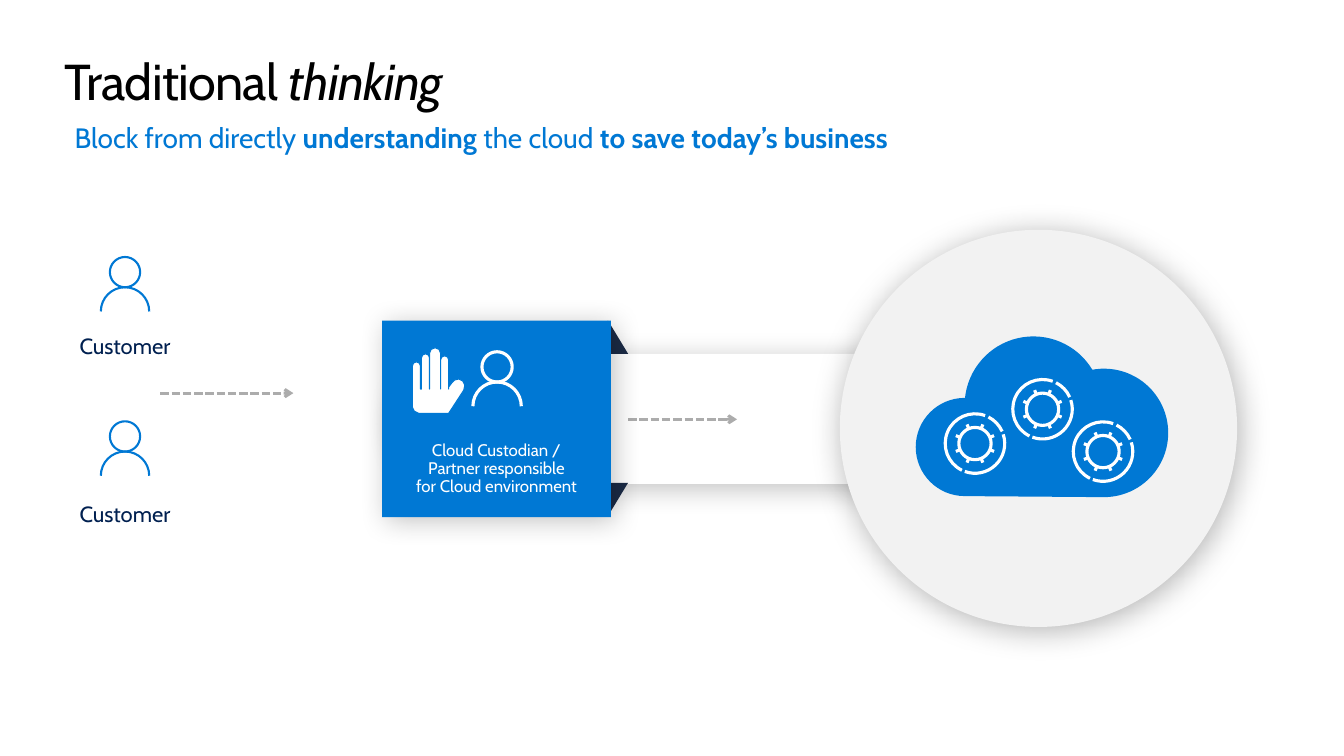
"""Build the slide on traditional thinking about access to the cloud."""
from dataclasses import dataclass
from math import ceil, cos, radians, sin, tan
from typing import NamedTuple, Optional

from lxml.etree import SubElement
from pptx import Presentation
from pptx.dml.color import RGBColor
from pptx.enum.dml import MSO_LINE
from pptx.enum.shapes import MSO_CONNECTOR, MSO_SHAPE
from pptx.enum.text import MSO_ANCHOR, PP_ALIGN
from pptx.oxml.ns import qn
from pptx.util import Inches, Pt


@dataclass(frozen=True)
class Theme:
    font: str = "Cabin"
    black: str = "000000"
    white: str = "FFFFFF"
    blue: str = "0078D4"
    navy: str = "002050"
    fold: str = "1B2B46"
    disc: str = "F2F2F2"
    grey: str = "ACACAC"
    title_size: float = 36
    subtitle_size: float = 20
    customer_size: float = 15.7
    custodian_size: float = 12


class Box(NamedTuple):
    left: float
    top: float
    width: float
    height: float


class Point(NamedTuple):
    x: float
    y: float


class Shadow(NamedTuple):
    opacity: int
    blur: float
    distance: float
    angle: int


class Contour(NamedTuple):
    points: list[Point]
    closed: bool = False


class Span(NamedTuple):
    text: str
    bold: bool = False
    italic: bool = False


class Panel(NamedTuple):
    preset: MSO_SHAPE
    box: Box
    color: str
    shadow: Optional[Shadow] = None
    flipped: bool = False


class Customer(NamedTuple):
    head: Point
    label_top: float


class Finger(NamedTuple):
    left: float
    right: float
    tip: float


THEME = Theme()
CARD_SHADOW = Shadow(24, 20, 4, 45)
DISC_SHADOW = Shadow(30, 23, 3, 60)
PILL = Panel(MSO_SHAPE.ROUNDED_RECTANGLE, Box(3.85, 3.51, 6.99, 1.29), THEME.white, CARD_SHADOW)
CUSTODIAN = [
    Panel(MSO_SHAPE.RIGHT_TRIANGLE, Box(6.03, 3.18, 0.2, 0.33), THEME.fold),
    Panel(MSO_SHAPE.RIGHT_TRIANGLE, Box(6.03, 4.79, 0.2, 0.33), THEME.fold, flipped=True),
    Panel(MSO_SHAPE.RECTANGLE, Box(3.79, 3.18, 2.27, 1.95), THEME.blue, CARD_SHADOW),
]
DISC = Panel(MSO_SHAPE.OVAL, Box(8.33, 2.28, 3.94, 3.94), THEME.disc, DISC_SHADOW)
CUSTOMERS = [Customer(Point(1.24, 2.7), 3.33), Customer(Point(1.24, 4.33), 4.99)]
GEARS = [Point(9.67, 4.4), Point(10.34, 4.06), Point(10.94, 4.48)]
RING_ARCS = [(-244, -70), (-18, 110), (-63, -24)]
FINGERS = [Finger(4.09, 4.17, 3.59), Finger(4.18, 4.26, 3.51),
           Finger(4.26, 4.37, 3.45), Finger(4.37, 4.45, 3.53)]
KNUCKLES = 3.86
THUMB_AND_PALM = [Point(*xy) for xy in (
    (4.45, 3.84), (4.48, 3.8), (4.51, 3.77), (4.55, 3.76), (4.59, 3.78), (4.61, 3.82), (4.6, 3.87),
    (4.47, 4.07), (4.45, 4.1), (4.42, 4.1), (4.15, 4.1), (4.11, 4.08), (4.09, 4.04))]


def polar(center: Point, radius: float, angle: float) -> Point:
    return Point(center.x + radius * cos(radians(angle)), center.y + radius * sin(radians(angle)))


def arc(center: Point, radius: float, start: float = 0, end: float = 360) -> list[Point]:
    count = ceil((end - start) / 90)
    sweep = (end - start) / count
    reach = 4 / 3 * tan(radians(sweep / 4)) * radius
    points = [polar(center, radius, start)]
    for index in range(count):
        begin = start + index * sweep
        finish = polar(center, radius, begin + sweep)
        points += [polar(points[-1], reach, begin + 90), polar(finish, reach, begin + sweep - 90), finish]
    return points


def trace(*pieces: list[Point]) -> list[Point]:
    points = list(pieces[0])
    for piece in pieces[1:]:
        points += [points[-1], piece[0], *piece]
    return points


def person(head: Point) -> list[Contour]:
    shoulders = Point(head.x, head.y + 0.39)
    return [Contour(arc(head, 0.15), True), Contour(arc(shoulders, 0.24, 180, 360))]


def gear(center: Point) -> list[Contour]:
    ring = [Contour(arc(center, 0.295, *span)) for span in RING_ARCS]
    teeth = [Contour(trace(*([polar(center, radius, 22.5 + 45 * tooth)] for radius in (0.16, 0.205))))
             for tooth in range(8)]
    return [Contour(arc(center, 0.16), True), *ring, *teeth]


def cloud() -> list[Contour]:
    return [Contour(trace(arc(Point(9.57, 4.435), 0.475, 90, 270), arc(Point(10.25, 4.02), 0.67, 185, 329),
                          arc(Point(10.95, 4.295), 0.625, 259, 450)), True)]


def hand() -> list[Contour]:
    pieces = []
    for finger in FINGERS:
        radius = (finger.right - finger.left) / 2
        tip = arc(Point(finger.left + radius, finger.tip + radius), radius, 180, 360)
        pieces += [[Point(finger.left, KNUCKLES)], tip, [Point(finger.right, KNUCKLES)]]
    return [Contour(trace(*pieces, *([point] for point in THUMB_AND_PALM)), True)]


def draw_outline(shapes, contours: list[Contour], line: str, width: float, fill: Optional[str] = None) -> None:
    builder = None
    for contour in contours:
        start, *rest = [(Inches(p.x), Inches(p.y)) for p in contour.points]
        if builder is None:
            builder = shapes.build_freeform(*start)
        else:
            builder.move_to(*start)
        builder.add_line_segments(rest, close=contour.closed)
    icon = builder.convert_to_shape()
    geometry = icon._element.find(".//" + qn("a:path"))
    steps = geometry.findall(qn("a:lnTo"))
    for first in range(0, len(steps), 3):
        curve = SubElement(geometry, qn("a:cubicBezTo"))
        steps[first].addprevious(curve)
        for step in steps[first:first + 3]:
            curve.append(step[0])
            geometry.remove(step)
    icon.shadow.inherit = False
    icon.line.color.rgb = RGBColor.from_string(line)
    icon.line.width = Pt(width)
    if fill:
        icon.fill.solid()
        icon.fill.fore_color.rgb = RGBColor.from_string(fill)
    else:
        icon.fill.background()


def draw_panel(shapes, panel: Panel) -> None:
    surface = shapes.add_shape(panel.preset, *map(Inches, panel.box))
    if panel.preset == MSO_SHAPE.ROUNDED_RECTANGLE:
        surface.adjustments[0] = 0.5
    surface.fill.solid()
    surface.fill.fore_color.rgb = RGBColor.from_string(panel.color)
    surface.line.fill.background()
    surface.shadow.inherit = False
    properties = surface._element.spPr
    if panel.flipped:
        properties.xfrm.set("flipV", "1")
    if panel.shadow:
        outer = SubElement(properties.find(qn("a:effectLst")), qn("a:outerShdw"),
                           blurRad=str(Pt(panel.shadow.blur)), dist=str(Pt(panel.shadow.distance)),
                           dir=str(panel.shadow.angle * 60000), algn="ctr", rotWithShape="0")
        tint = SubElement(outer, qn("a:srgbClr"), val=THEME.black)
        SubElement(tint, qn("a:alpha"), val=str(panel.shadow.opacity * 1000))


def draw_arrow(shapes, start: Point, length: float) -> None:
    arrow = shapes.add_connector(MSO_CONNECTOR.STRAIGHT, Inches(start.x), Inches(start.y),
                                 Inches(start.x + length), Inches(start.y))
    arrow.line.color.rgb = RGBColor.from_string(THEME.grey)
    arrow.line.width = Pt(2)
    arrow.line.dash_style = MSO_LINE.SQUARE_DOT
    SubElement(arrow.line._get_or_add_ln(), qn("a:tailEnd"), type="arrow")
    SubElement(arrow._element.spPr, qn("a:effectLst"))


def write(holder, box: Box, lines: list[list[Span]], size: float, color: str,
          centered: bool = False, tracking: int = 0) -> None:
    holder.left, holder.top, holder.width, holder.height = map(Inches, box)
    frame = holder.text_frame
    frame.word_wrap = True
    frame.margin_left = frame.margin_top = frame.margin_right = frame.margin_bottom = 0
    frame.vertical_anchor = MSO_ANCHOR.MIDDLE if centered else MSO_ANCHOR.TOP
    frame.text = "\n".join("".join(span.text for span in spans) for spans in lines)
    for paragraph, spans in zip(frame.paragraphs, lines):
        paragraph.alignment = PP_ALIGN.CENTER if centered else PP_ALIGN.LEFT
        paragraph.line_spacing = 0.9 if centered else 1.0
        paragraph.runs[0].text = spans[0].text
        runs = [paragraph.runs[0], *(paragraph.add_run() for _ in spans[1:])]
        for run, span in zip(runs, spans):
            run.text = span.text
            run.font.name, run.font.size = THEME.font, Pt(size)
            run.font.bold, run.font.italic = span.bold, span.italic
            run.font.color.rgb = RGBColor.from_string(color)
            run.font._element.set("spc", str(tracking))


def write_box(shapes, box: Box, lines: list[list[Span]], size: float, color: str, centered: bool = True) -> None:
    write(shapes.add_textbox(*map(Inches, box)), box, lines, size, color, centered)


def main() -> None:
    deck = Presentation()
    deck.slide_width, deck.slide_height = Inches(13.33), Inches(7.5)
    shapes = deck.slides.add_slide(deck.slide_layouts[5]).shapes
    write(shapes.title, Box(0.64, 0.5, 12.05, 0.61), [[Span("Traditional "), Span("thinking", italic=True)]],
          THEME.title_size, THEME.black, tracking=-50)
    subtitle = [Span("Block from directly "), Span("understanding", bold=True), Span(" the cloud "),
                Span("to save today’s business", bold=True)]
    write_box(shapes, Box(0.74, 1.2, 12.06, 0.34), [subtitle], THEME.subtitle_size, THEME.blue, centered=False)
    draw_panel(shapes, PILL)
    draw_arrow(shapes, Point(6.23, 4.16), 1.08)
    for panel in CUSTODIAN:
        draw_panel(shapes, panel)
    draw_outline(shapes, person(Point(4.93, 3.64)), THEME.white, 2.25)
    custodian_lines = ["Cloud Custodian /", "Partner responsible", "for Cloud environment"]
    write_box(shapes, Box(3.79, 4.38, 2.27, 0.55), [[Span(line)] for line in custodian_lines],
              THEME.custodian_size, THEME.white)
    draw_outline(shapes, hand(), THEME.blue, 0.75, THEME.white)
    draw_panel(shapes, DISC)
    draw_outline(shapes, cloud(), THEME.blue, 1.75, THEME.blue)
    for center in GEARS:
        draw_outline(shapes, gear(center), THEME.white, 2.25)
    for customer in CUSTOMERS:
        write_box(shapes, Box(0.34, customer.label_top, 1.8, 0.24), [[Span("Customer")]],
                  THEME.customer_size, THEME.navy)
        draw_outline(shapes, person(customer.head), THEME.blue, 1.5)
    draw_arrow(shapes, Point(1.59, 3.9), 1.32)
    deck.save("out.pptx")


if __name__ == "__main__":
    main()
